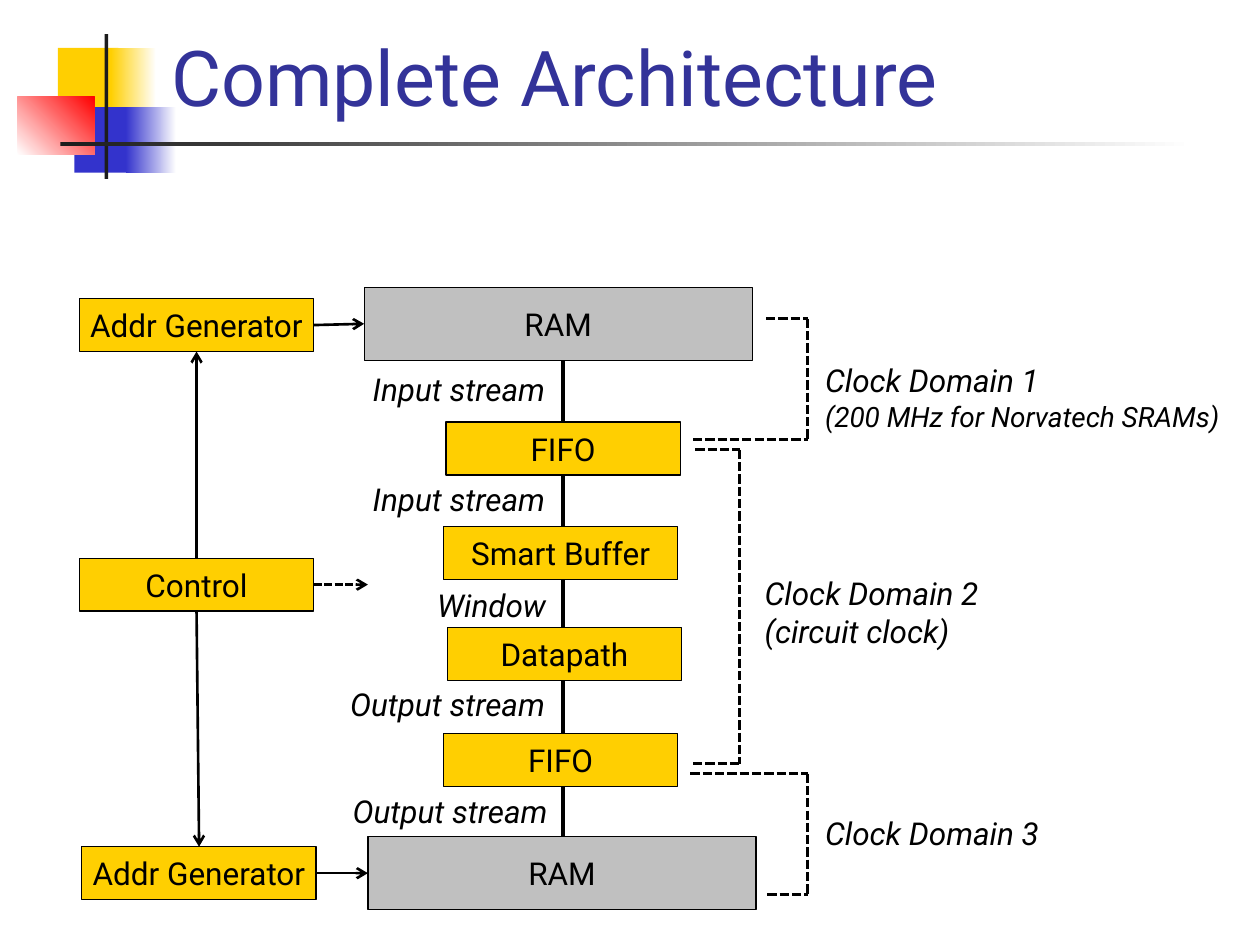
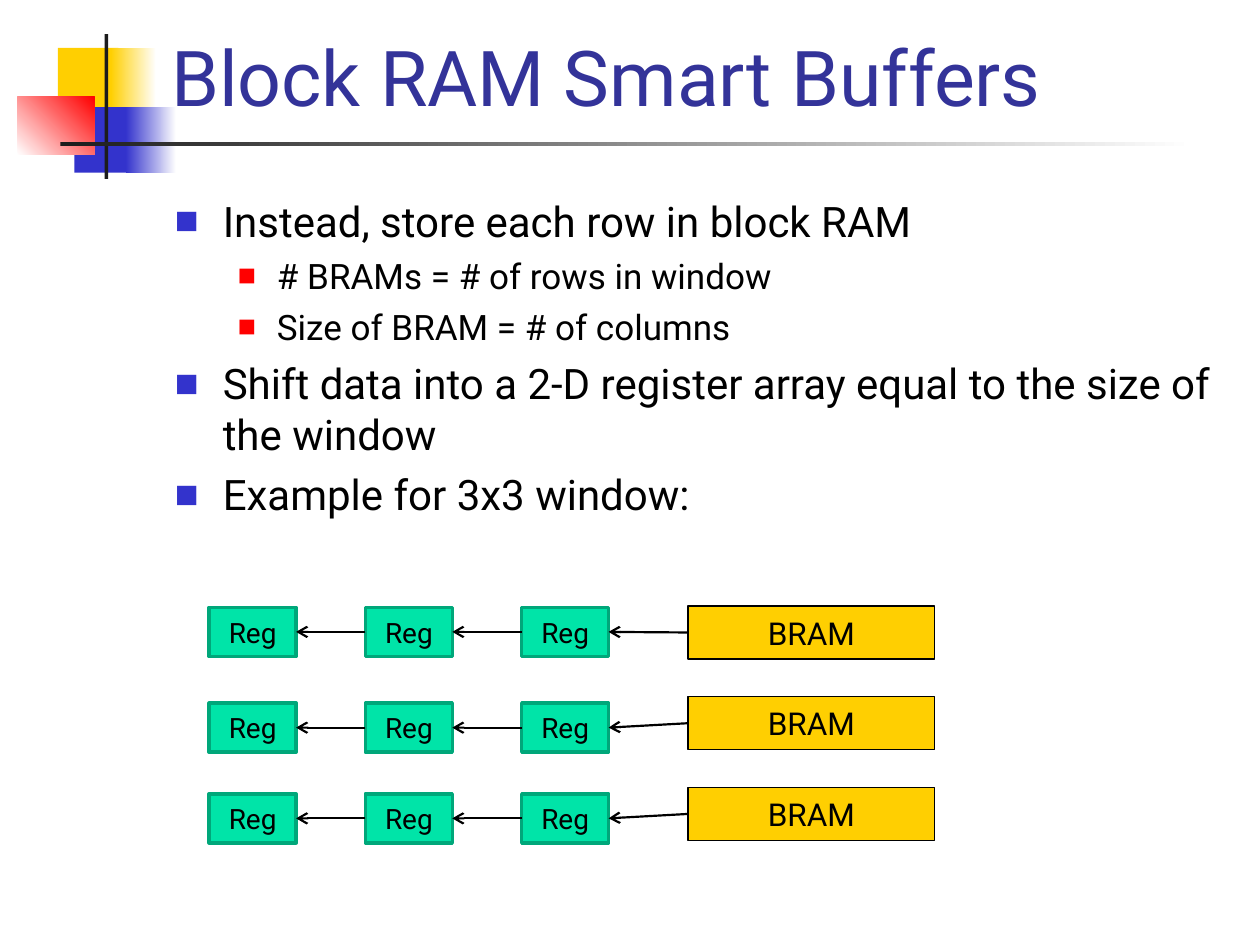
"""Builds two slides on a streaming architecture and its block RAM buffers."""
import lxml.etree
import pptx
import pptx.dml.color
import pptx.enum.dml
import pptx.enum.shapes
import pptx.enum.text
import pptx.oxml.ns
import pptx.util

RGBColor = pptx.dml.color.RGBColor
GOLD = RGBColor(0xFF, 0xCF, 0x01)
BLUE = RGBColor(0x33, 0x33, 0xCC)
RED = RGBColor(0xFF, 0x00, 0x00)
INK = RGBColor(0x1C, 0x1C, 0x1C)
INDIGO = RGBColor(0x33, 0x33, 0x99)
GREY = RGBColor(0xC0, 0xC0, 0xC0)
GREEN = RGBColor(0x00, 0xE4, 0xA8)
DARK_GREEN = RGBColor(0x00, 0xA7, 0x7A)
BLACK = RGBColor(0x00, 0x00, 0x00)
WHITE = RGBColor(0xFF, 0xFF, 0xFF)

FONT = "Roboto"
PX = 9144
TOP, LEFT, BOTTOM, RIGHT = range(4)
BULLETS = {
    0: dict(size=24, margin=38, hang=38, before=6, color=BLUE, percent=60),
    1: dict(size=20, margin=81, hang=31, before=5, color=RED, percent=55),
}


def px(*lengths):
    """Turn px lengths into EMU."""
    return [pptx.util.Emu(length * PX) for length in lengths]


def add_child(parent, tag, **attributes):
    """Append one XML element to a parent."""
    return lxml.etree.SubElement(parent, pptx.oxml.ns.qn(tag), **attributes)


class Deck:
    """Holds the shared style and the current slide."""

    def __init__(self):
        """Start an empty 10 by 7.5 inch deck."""
        self.deck = pptx.Presentation()
        self.deck.slide_width, self.deck.slide_height = px(1000, 750)
        self.page = None

    def new_page(self, title):
        """Add a slide with the corner ornament, rule and title."""
        self.page = self.deck.slides.add_slide(self.deck.slide_layouts[6])
        self.block(46, 38, 48, 52, GOLD)
        self.block(88, 38, 36, 52, GOLD, fade_to=WHITE)
        self.block(59, 85, 46, 52, BLUE)
        self.block(100, 85, 40, 52, BLUE, fade_to=WHITE)
        self.block(14, 77, 61, 46, WHITE, fade_to=RED, angle=45)
        self.block(83, 27, 3, 115, INK)
        self.block(48, 113, 900, 3, INK, fade_to=WHITE)
        heading = self.text(126, 0, 852, 102, [(title, 44)], color=INDIGO)
        heading.text_frame.vertical_anchor = pptx.enum.text.MSO_ANCHOR.BOTTOM

    def block(self, left, top, width, height, color, fade_to=None, angle=0):
        """Add a plain rectangle without outline, solid or fading."""
        shape = self.page.shapes.add_shape(
            pptx.enum.shapes.MSO_SHAPE.RECTANGLE, *px(left, top, width, height))
        shape.shadow.inherit = False
        shape.line.fill.background()
        if fade_to is None:
            shape.fill.solid()
            shape.fill.fore_color.rgb = color
        else:
            shape.fill.gradient()
            shape.fill.gradient_angle = angle
            for stop, stop_color in zip(shape.fill.gradient_stops, (color, fade_to)):
                stop.color.rgb = stop_color
        return shape

    def node(self, left, top, width, height, label, fill=GOLD, outline=BLACK,
             weight=0.75, size=18):
        """Add an outlined rectangle with a centred label."""
        shape = self.block(left, top, width, height, fill)
        shape.line.color.rgb = outline
        shape.line.width = pptx.util.Pt(weight)
        frame = shape.text_frame
        frame.word_wrap = False
        frame.vertical_anchor = pptx.enum.text.MSO_ANCHOR.MIDDLE
        frame.text = label
        frame.paragraphs[0].alignment = pptx.enum.text.PP_ALIGN.CENTER
        self.style(frame.paragraphs[0], size)
        return shape

    def style(self, para, size, color=BLACK, italic=False):
        """Format every run of a paragraph."""
        for span in para.runs:
            span.font.name = FONT
            span.font.size = pptx.util.Pt(size)
            span.font.color.rgb = color
            span.font.italic = italic

    def text(self, left, top, width, height, lines, color=BLACK, italic=False):
        """Add a wrapping text box from (text, size) lines."""
        box = self.page.shapes.add_textbox(*px(left, top, width, height))
        frame = box.text_frame
        frame.word_wrap = True
        frame.text = "\n".join(line for line, _ in lines)
        for para, (_, size) in zip(frame.paragraphs, lines):
            self.style(para, size, color, italic)
        return box

    def bullets(self, left, top, width, height, items):
        """Add a bulleted list from (level, text) items."""
        lines = [(line, BULLETS[level]["size"]) for level, line in items]
        box = self.text(left, top, width, height, lines)
        for index, (level, _) in enumerate(items):
            para, look = box.text_frame.paragraphs[index], BULLETS[level]
            para.level = level
            if index:
                para.space_before = pptx.util.Pt(look["before"])
            properties = para._p.get_or_add_pPr()
            properties.set("marL", str(look["margin"] * PX))
            properties.set("indent", str(-look["hang"] * PX))
            tint = add_child(properties, "a:buClr")
            add_child(tint, "a:srgbClr", val=str(look["color"]))
            add_child(properties, "a:buSzPct", val=str(look["percent"] * 1000))
            add_child(properties, "a:buFont", typeface=FONT)
            add_child(properties, "a:buChar", char="■")

    def line(self, x1, y1, x2, y2, weight, dashed=False, arrow=False):
        """Add a straight line, optionally dashed or with an arrowhead."""
        connector = self.page.shapes.add_connector(
            pptx.enum.shapes.MSO_CONNECTOR.STRAIGHT, *px(x1, y1, x2, y2))
        connector.line.color.rgb = BLACK
        connector.line.width = pptx.util.Pt(weight)
        if dashed:
            connector.line.dash_style = pptx.enum.dml.MSO_LINE.SQUARE_DOT
        if arrow:
            add_child(connector.line._get_or_add_ln(), "a:tailEnd", type="arrow")
        add_child(connector._element.spPr, "a:effectLst")
        return connector

    def arrow(self, start, start_side, end, end_side, weight):
        """Join two nodes with an arrow."""
        connector = self.line(0, 0, 0, 0, weight, arrow=True)
        connector.begin_connect(start, start_side)
        connector.end_connect(end, end_side)

    def bracket(self, top_left, bottom_left, right, top, bottom):
        """Add a dashed bracket that opens to the left."""
        for ends in ((top_left, top, right, top), (right, top, right, bottom),
                     (bottom_left, bottom, right, bottom)):
            self.line(*ends, 1.75, dashed=True)


def architecture_page(deck):
    """Draw the pipeline, its control and its clock domains."""
    deck.new_page("Complete Architecture")
    deck.line(447, 286, 447, 665, 2.5)
    input_ram = deck.node(289, 228, 308, 58, "RAM", GREY)
    output_ram = deck.node(292, 664, 308, 58, "RAM", GREY)
    for left, top, label in ((354, 335, "FIFO"), (352, 418, "Smart Buffer"),
                             (355, 498, "Datapath"), (352, 582, "FIFO")):
        deck.node(left, top, 186, 42, label)
    input_address = deck.node(63, 237, 186, 42, "Addr Generator")
    control = deck.node(63, 443, 186, 42, "Control")
    output_address = deck.node(65, 672, 186, 42, "Addr Generator")

    for left, top, label in ((286, 289, "Input stream"), (286, 376, "Input stream"),
                             (337, 460, "Window"), (268, 539, "Output stream"),
                             (270, 624, "Output stream")):
        deck.text(left, top, 192, 40, [(label, 18)], italic=True)
    deck.text(645, 282, 343, 67, [("Clock Domain 1", 18),
                                  ("(200 MHz for Norvatech SRAMs)", 16)], italic=True)
    deck.text(597, 451, 193, 70, [("Clock Domain 2 (circuit clock)", 18)], italic=True)
    deck.text(645, 641, 234, 40, [("Clock Domain 3", 18)], italic=True)
    deck.bracket(608, 550, 641, 253, 349)
    deck.bracket(552, 550, 587, 357, 606)
    deck.bracket(548, 609, 641, 614, 710)

    deck.arrow(input_address, RIGHT, input_ram, LEFT, 1.5)
    deck.arrow(output_address, RIGHT, output_ram, LEFT, 1.5)
    deck.arrow(control, TOP, input_address, BOTTOM, 1.5)
    deck.arrow(control, BOTTOM, output_address, TOP, 1.5)
    pending = deck.line(249, 464, 292, 464, 1.5, dashed=True, arrow=True)
    pending.begin_connect(control, RIGHT)


def buffer_page(deck):
    """Explain the buffers and draw the 3x3 register window."""
    deck.new_page("Block RAM Smart Buffers")
    deck.bullets(129, 150, 850, 521, [
        (0, "Instead, store each row in block RAM"),
        (1, "# BRAMs = # of rows in window"),
        (1, "Size of BRAM = # of columns"),
        (0, "Shift data into a 2-D register array equal to the size of the window"),
        (0, "Example for 3x3 window:"),
    ])
    for row, register_top in enumerate((482, 558, 630)):
        source = deck.node(546, 481 + 72 * row, 196, 42, "BRAM")
        for column in range(3):
            register = deck.node(414 - 124 * column, register_top, 69, 39, "Reg",
                                 GREEN, DARK_GREEN, weight=2, size=16)
            deck.arrow(source, LEFT, register, RIGHT, 1.25)
            source = register


def main():
    """Build and save the deck."""
    deck = Deck()
    architecture_page(deck)
    buffer_page(deck)
    deck.deck.save("out.pptx")


if __name__ == "__main__":
    main()
